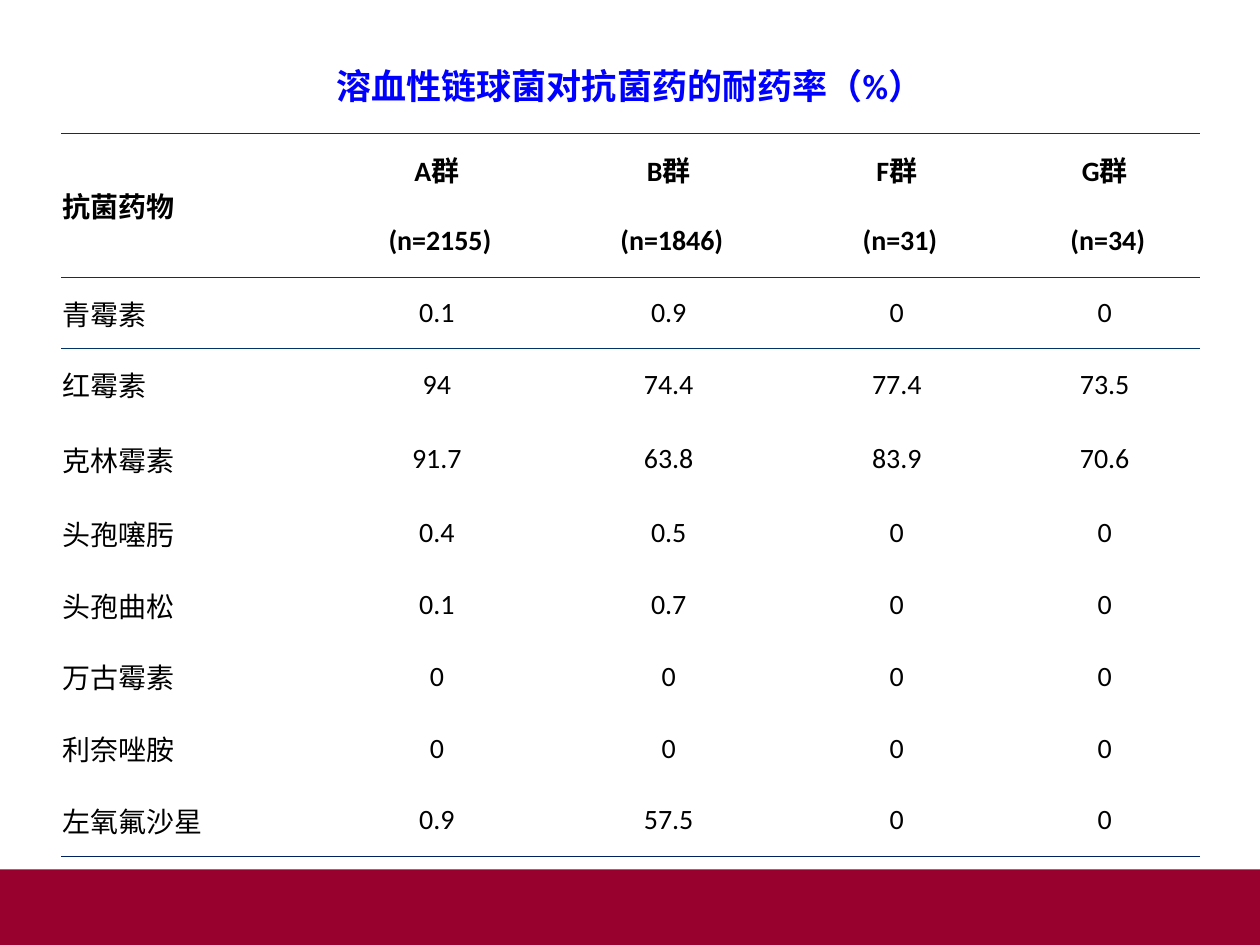
from lxml import etree
from pptx import Presentation
from pptx.dml.color import RGBColor
from pptx.enum import shapes, text
from pptx.oxml import ns
from pptx.util import Pt

TITLE = "溶血性链球菌对抗菌药的耐药率（%）"
ROWS = [
    ("抗菌药物", "A群", "B群", "F群", "G群"),
    ("", " (n=2155)", " (n=1846)", " (n=31)", " (n=34)"),
    ("青霉素", "0.1", "0.9", "0", "0"),
    ("红霉素", "94", "74.4", "77.4", "73.5"),
    ("克林霉素", "91.7", "63.8", "83.9", "70.6"),
    ("头孢噻肟", "0.4", "0.5", "0", "0"),
    ("头孢曲松", "0.1", "0.7", "0", "0"),
    ("万古霉素", "0", "0", "0", "0"),
    ("利奈唑胺", "0", "0", "0", "0"),
    ("左氧氟沙星", "0.9", "57.5", "0", "0"),
]
COL_WIDTHS = [148.3, 132.5, 132.5, 128.2, 109.4]
ROW_HEIGHTS = [41, 41, 41, 41, 44, 41, 41, 41, 41, 41]
HEADER_ROWS = 2
FONT = "Calibri"
NO_GRID_STYLE = "{2D5ABB26-0587-4C30-8999-92F81FD0307C}"

BLUE = RGBColor(0x00, 0x00, 0xFF)
BLACK = RGBColor(0x00, 0x00, 0x00)
CRIMSON = RGBColor(0x98, 0x00, 0x2E)
RULE = RGBColor(0x00, 0x33, 0x66)
END_RULE = RGBColor(0x00, 0x20, 0x60)


def format_text(p, size, color, bold, align):
    p.alignment = align
    for r in p.runs:
        r.font.name = FONT
        r.font.size = Pt(size)
        r.font.bold = bold
        r.font.color.rgb = color


def add_border(cell, side, color):
    tc_pr = cell._tc.get_or_add_tcPr()
    ln = etree.SubElement(tc_pr, ns.qn("a:" + side), w=str(Pt(0.45)))
    fill = etree.SubElement(ln, ns.qn("a:solidFill"))
    etree.SubElement(fill, ns.qn("a:srgbClr"), val=str(color))


def add_title(s):
    sp = s.shapes.title
    sp.left, sp.top, sp.width, sp.height = Pt(0), Pt(26.6), Pt(720), Pt(44.6)
    tf = sp.text_frame
    tf.text = TITLE
    tf.auto_size = text.MSO_AUTO_SIZE.NONE
    tf.vertical_anchor = text.MSO_ANCHOR.MIDDLE
    format_text(tf.paragraphs[0], 20, BLUE, True, text.PP_ALIGN.CENTER)


def add_band(s):
    sp = s.shapes.add_shape(shapes.MSO_SHAPE.RECTANGLE, Pt(0), Pt(496.8), Pt(720), Pt(43.2))
    sp.shadow.inherit = False
    sp.fill.solid()
    sp.fill.fore_color.rgb = CRIMSON
    sp.line.fill.background()


def add_rates(s):
    frame = s.shapes.add_table(len(ROWS), len(COL_WIDTHS), Pt(35.1), Pt(76.3),
                               Pt(sum(COL_WIDTHS)), Pt(sum(ROW_HEIGHTS)))
    table = frame.table
    table.first_row = table.horz_banding = False
    table._tbl.tblPr.find(ns.qn("a:tableStyleId")).text = NO_GRID_STYLE
    for col, width in zip(table.columns, COL_WIDTHS):
        col.width = Pt(width)
    for row, height in zip(table.rows, ROW_HEIGHTS):
        row.height = Pt(height)

    top = {0: RULE, HEADER_ROWS: RULE}
    bottom = {HEADER_ROWS - 1: RULE, len(ROWS) - 1: END_RULE}
    for i, values in enumerate(ROWS):
        for j, value in enumerate(values):
            cell = table.cell(i, j)
            cell.text = value
            cell.vertical_anchor = text.MSO_ANCHOR.MIDDLE
            cell.margin_left = cell.margin_right = Pt(0.8)
            cell.margin_top = cell.margin_bottom = Pt(3.6)
            align = text.PP_ALIGN.CENTER if j else text.PP_ALIGN.LEFT
            format_text(cell.text_frame.paragraphs[0], 16, BLACK, i < HEADER_ROWS, align)
            last = HEADER_ROWS - 1 if (i, j) == (0, 0) else i
            for side, color in (("lnT", top.get(i)), ("lnB", bottom.get(last))):
                if color is not None:
                    add_border(cell, side, color)
            cell.fill.background()
    table.cell(0, 0).merge(table.cell(HEADER_ROWS - 1, 0))


def main():
    prs = Presentation()
    prs.slide_width, prs.slide_height = Pt(720), Pt(540)
    s = prs.slides.add_slide(prs.slide_layouts[5])
    add_band(s)
    add_title(s)
    add_rates(s)
    prs.save("out.pptx")


if __name__ == "__main__":
    main()
